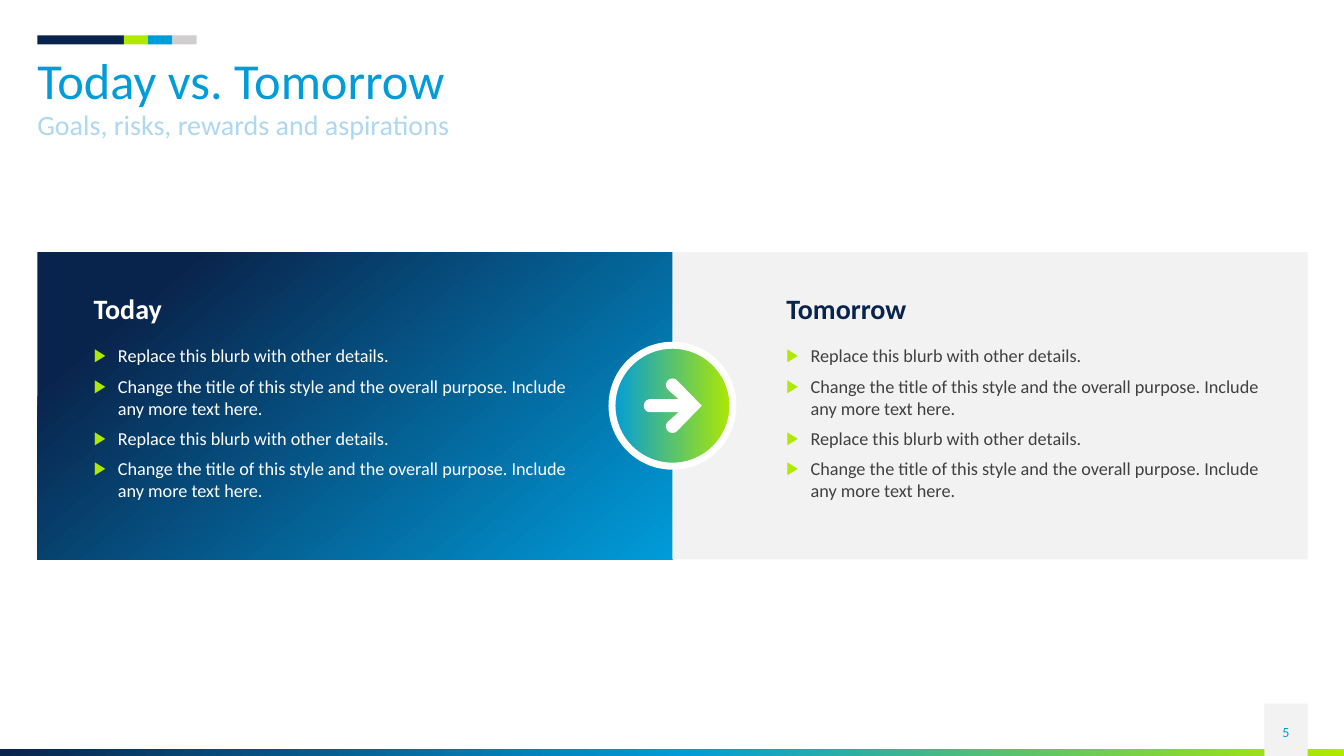
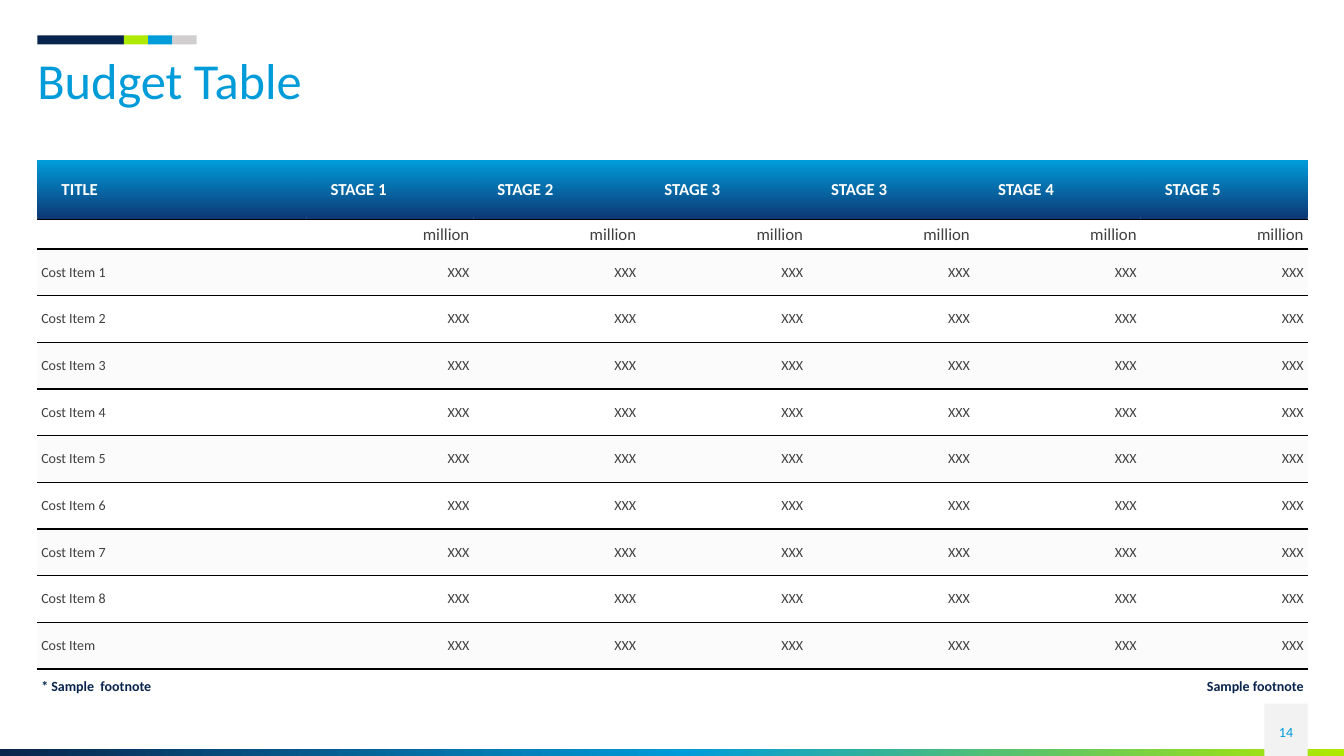
import math

import lxml.etree
import pptx
import pptx.dml.color
import pptx.enum.shapes
import pptx.enum.text
import pptx.oxml.ns
import pptx.util

Inches = pptx.util.Inches
Pt = pptx.util.Pt
qn = pptx.oxml.ns.qn
SHAPES = pptx.enum.shapes.MSO_SHAPE
ALIGN = pptx.enum.text.PP_ALIGN
ANCHOR = pptx.enum.text.MSO_ANCHOR

NAVY, BLUE, LIME = "09244C", "009CDA", "B0E900"
WHITE, PALE, SILVER, INK = "FFFFFF", "F2F2F2", "D0CECE", "404040"
DEEP, SKY, BLACK = "0D3672", "AED8EF", "000000"
FONT = "Calibri"
WIDTH, HEIGHT = 13.33, 7.5
LEFT, CONTENT = 0.37, 12.6


def colour(value):
    """Turn a hex string into a colour."""
    return pptx.dml.color.RGBColor.from_string(value)


def add_xml(parent, tag, **attributes):
    """Append a drawing element with the given attributes."""
    element = lxml.etree.SubElement(parent, qn(tag))
    for name, value in attributes.items():
        element.set(name, str(value))
    return element


def paint_solid(fill, value):
    """Fill with one colour."""
    fill.solid()
    fill.fore_color.rgb = colour(value)


def paint_gradient(fill, element, stops, angle):
    """Fill with a clockwise linear gradient of (percent, colour) stops."""
    fill.gradient()
    gradient = element.find(".//" + qn("a:gradFill"))
    stop_list = gradient.find(qn("a:gsLst"))
    for stop in list(stop_list):
        stop_list.remove(stop)
    for percent, value in stops:
        stop = add_xml(stop_list, "a:gs", pos=percent * 1000)
        add_xml(stop, "a:srgbClr", val=value)
    gradient.find(qn("a:lin")).set("ang", str(angle * 60000))


def add_block(slide, box, fill, angle=0, kind=SHAPES.RECTANGLE):
    """Add a borderless shape with a colour or a list of gradient stops."""
    shape = slide.shapes.add_shape(kind, *map(Inches, box))
    shape.shadow.inherit = False
    shape.line.fill.background()
    if isinstance(fill, str):
        paint_solid(shape.fill, fill)
    else:
        paint_gradient(shape.fill, shape.element, fill, angle)
    return shape


def write(paragraph, text, size, value, bold=False, **layout):
    """Write one formatted run and set the paragraph's layout."""
    for name, setting in layout.items():
        setattr(paragraph, name, setting)
    if not text:
        add_xml(paragraph._p, "a:endParaRPr", sz=size * 100)
        return
    run = paragraph.add_run()
    run.text = text
    font = {"name": FONT, "size": Pt(size), "bold": bold}
    for name, setting in font.items():
        setattr(run.font, name, setting)
    run.font.color.rgb = colour(value)


def add_text(slide, box, lines, size, value, bold=False, anchor=ANCHOR.TOP, **layout):
    """Add a text box without insets and return its paragraphs."""
    frame = slide.shapes.add_textbox(*map(Inches, box)).text_frame
    settings = {"word_wrap": True, "vertical_anchor": anchor, "margin_left": 0,
                "margin_right": 0, "margin_top": 0, "margin_bottom": 0}
    for name, setting in settings.items():
        setattr(frame, name, setting)
    for index, line in enumerate(lines):
        paragraph = frame.add_paragraph() if index else frame.paragraphs[0]
        write(paragraph, line, size, value, bold, **layout)
    return frame.paragraphs


def add_bullets(slide, box, lines, value):
    """Add a list marked with lime triangles."""
    for paragraph in add_text(slide, box, lines, 13, value, space_after=Pt(6)):
        properties = paragraph._p.get_or_add_pPr()
        properties.set("marL", str(Inches(0.24)))
        properties.set("indent", str(-Inches(0.24)))
        add_xml(add_xml(properties, "a:buClr"), "a:srgbClr", val=LIME)
        add_xml(properties, "a:buFont", typeface=FONT)
        add_xml(properties, "a:buChar", char="▶")


def start_slide(presentation, title, number, subtitle=None):
    """Add a slide with the shared accents, title, footer and page number."""
    slide = presentation.slides.add_slide(presentation.slide_layouts[6])
    band = [(0, NAVY), (51, BLUE), (100, LIME)]
    add_block(slide, (0, 7.43, WIDTH, 0.07), band)
    add_block(slide, (12.54, 6.98, 0.43, 0.52), PALE)
    left = LEFT
    for width, value in ((0.86, NAVY), (0.24, LIME), (0.24, BLUE), (0.24, SILVER)):
        add_block(slide, (left, 0.35, width, 0.09), value)
        left += width
    add_text(slide, (LEFT, 0.56, CONTENT, 0.55), [title], 36, BLUE, line_spacing=0.9)
    if subtitle:
        add_text(slide, (LEFT, 1.1, CONTENT, 0.35), [subtitle], 20, SKY, line_spacing=0.9)
    add_text(slide, (12.54, 7.06, 0.43, 0.4), [str(number)], 10, BLUE,
             anchor=ANCHOR.MIDDLE, alignment=ALIGN.CENTER)
    return slide


def add_panel(slide, box, inset, heading, lines, fill, heading_colour, text_colour):
    """Add a panel with a heading and a bullet list."""
    left, top, width, height = box
    add_block(slide, box, fill, angle=50)
    add_text(slide, (left + inset, top + 0.39, 5.17, 0.38), [heading], 20,
             heading_colour, bold=True)
    add_bullets(slide, (left + inset, top + 0.92, 4.82, 1.6), lines, text_colour)


def add_arrow_badge(slide, centre_x, centre_y, diameter):
    """Add a ringed disc holding a round-ended arrow."""
    corner = (centre_x - diameter / 2, centre_y - diameter / 2)
    disc = add_block(slide, (*corner, diameter, diameter), [(0, BLUE), (100, LIME)],
                     kind=SHAPES.OVAL)
    paint_solid(disc.line.fill, WHITE)
    disc.line.width = Pt(5)

    radius, arm = 0.065, 0.205
    notch = 0.06
    upper, shaft, lower = (
        [(x + radius * math.cos(math.radians(start - step)),
          y + radius * math.sin(math.radians(start - step)))
         for step in range(0, 181, 15)]
        for x, y, start in ((0, -arm, -45), (-0.22, 0, -90), (0, arm, -135)))
    outline = [(0.29, 0), *upper, (notch, -radius), *shaft, (notch, radius), *lower]
    points = [(Inches(centre_x + x), Inches(centre_y + y)) for x, y in outline]
    builder = slide.shapes.build_freeform(*points[0])
    builder.add_line_segments(points[1:], close=True)
    arrow = builder.convert_to_shape()
    arrow.shadow.inherit = False
    arrow.line.fill.background()
    paint_solid(arrow.fill, WHITE)


def fill_cell(cell, text, size, value, bold=False, right=False, inset=0.04, ruled=True):
    """Write a table cell and rule its lower edge."""
    settings = {"vertical_anchor": ANCHOR.MIDDLE, "margin_left": Inches(inset),
                "margin_right": Inches(0.04), "margin_top": Inches(0.04),
                "margin_bottom": Inches(0.04)}
    for name, setting in settings.items():
        setattr(cell, name, setting)
    write(cell.text_frame.paragraphs[0], text, size, value, bold,
          alignment=ALIGN.RIGHT if right else ALIGN.LEFT)
    cell.fill.background()
    if ruled:
        properties = cell._tc.get_or_add_tcPr()
        line = add_xml(properties, "a:lnB", w=Pt(1))
        add_xml(add_xml(line, "a:solidFill"), "a:srgbClr", val=BLACK)
        properties.insert(0, line)


def shade_cell(cell):
    """Give a cell a faint grey fill."""
    paint_solid(cell.fill, PALE)
    fill = cell._tc.tcPr.find(qn("a:solidFill"))
    add_xml(fill.find(qn("a:srgbClr")), "a:alpha", val=25000)


def add_budget_table(slide, box, stages, items):
    """Add a cost table with a gradient header and a footnote row."""
    left, top, width, height = box
    columns = len(stages) + 1
    heights = [0.59, 0.29, *[(height - 1.23) / len(items)] * len(items), 0.35]
    frame = slide.shapes.add_table(len(heights), columns, *map(Inches, box))
    style = frame.element.find(".//" + qn("a:tableStyleId"))
    style.text = "{2D5ABB26-0587-4C30-8999-92F81FD0307C}"
    table = frame.table
    table.first_row = table.horz_banding = False
    for row, row_height in zip(table.rows, heights):
        row.height = Inches(row_height)
    for index, column in enumerate(table.columns):
        column.width = Inches((width - 2.67) / len(stages) if index else 2.67)

    for index, text in enumerate(["TITLE", *stages]):
        cell = table.cell(0, index)
        fill_cell(cell, text, 12, WHITE, bold=True, inset=0.24)
        paint_gradient(cell.fill, cell._tc, [(0, DEEP), (100, BLUE)], 270)
        fill_cell(table.cell(1, index), "million" if index else "", 12, INK, right=True)
    for row, item in enumerate(items, start=2):
        for index in range(columns):
            cell = table.cell(row, index)
            fill_cell(cell, "XXX" if index else item, 10, INK, right=index > 0)
            if row % 2 == 0:
                shade_cell(cell)
    last = len(heights) - 1
    for first, end, text in ((0, 3, "* Sample  footnote"), (4, 6, "Sample footnote")):
        cell = table.cell(last, first)
        cell.merge(table.cell(last, end))
        fill_cell(cell, text, 10, NAVY, bold=True, right=first > 0, ruled=False)


def build_comparison(presentation):
    """Build the slide that sets today against tomorrow."""
    slide = start_slide(presentation, "Today vs. Tomorrow", 5,
                        "Goals, risks, rewards and aspirations")
    lines = ["Replace this blurb with other details.",
             "Change the title of this style and the overall purpose. "
             "Include any more text here."] * 2
    half, top, height = CONTENT / 2, 2.5, 3.05
    add_panel(slide, (LEFT, top, half, height), 0.56, "Today", lines,
              [(16, NAVY), (100, BLUE)], WHITE, WHITE)
    add_panel(slide, (LEFT + half, top, half, height), 1.13, "Tomorrow", lines,
              PALE, NAVY, INK)
    add_arrow_badge(slide, LEFT + half, top + height / 2, 1.2)


def build_budget(presentation):
    """Build the slide with the budget table."""
    slide = start_slide(presentation, "Budget Table", 14)
    stages = [f"STAGE {number}" for number in (1, 2, 3, 3, 4, 5)]
    items = [f"Cost Item {number}" for number in range(1, 9)] + ["Cost Item"]
    add_budget_table(slide, (LEFT, 1.59, CONTENT, 5.4), stages, items)


def main():
    """Build and save the presentation."""
    presentation = pptx.Presentation()
    presentation.slide_width = Inches(WIDTH)
    presentation.slide_height = Inches(HEIGHT)
    build_comparison(presentation)
    build_budget(presentation)
    presentation.save("out.pptx")


if __name__ == "__main__":
    main()
